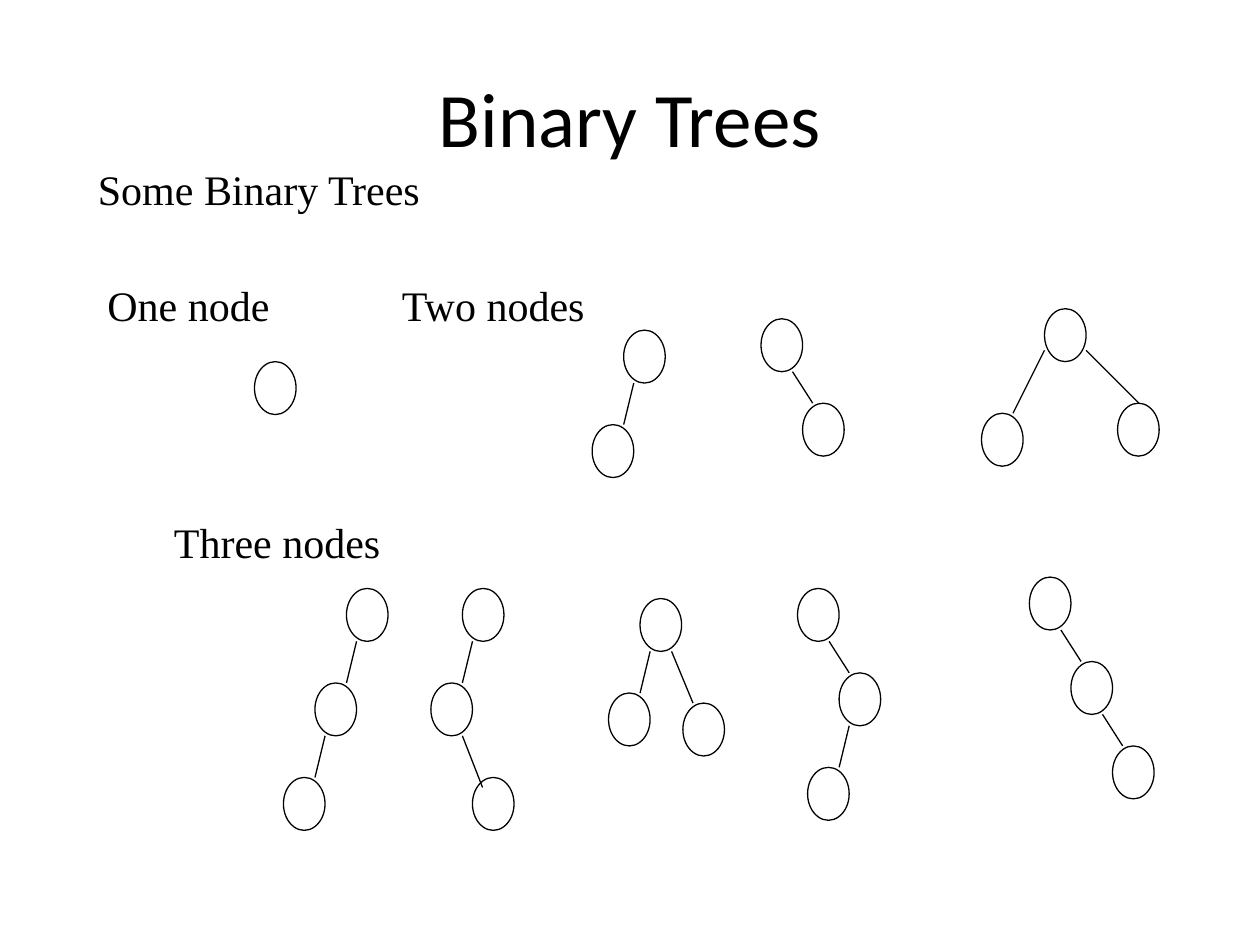
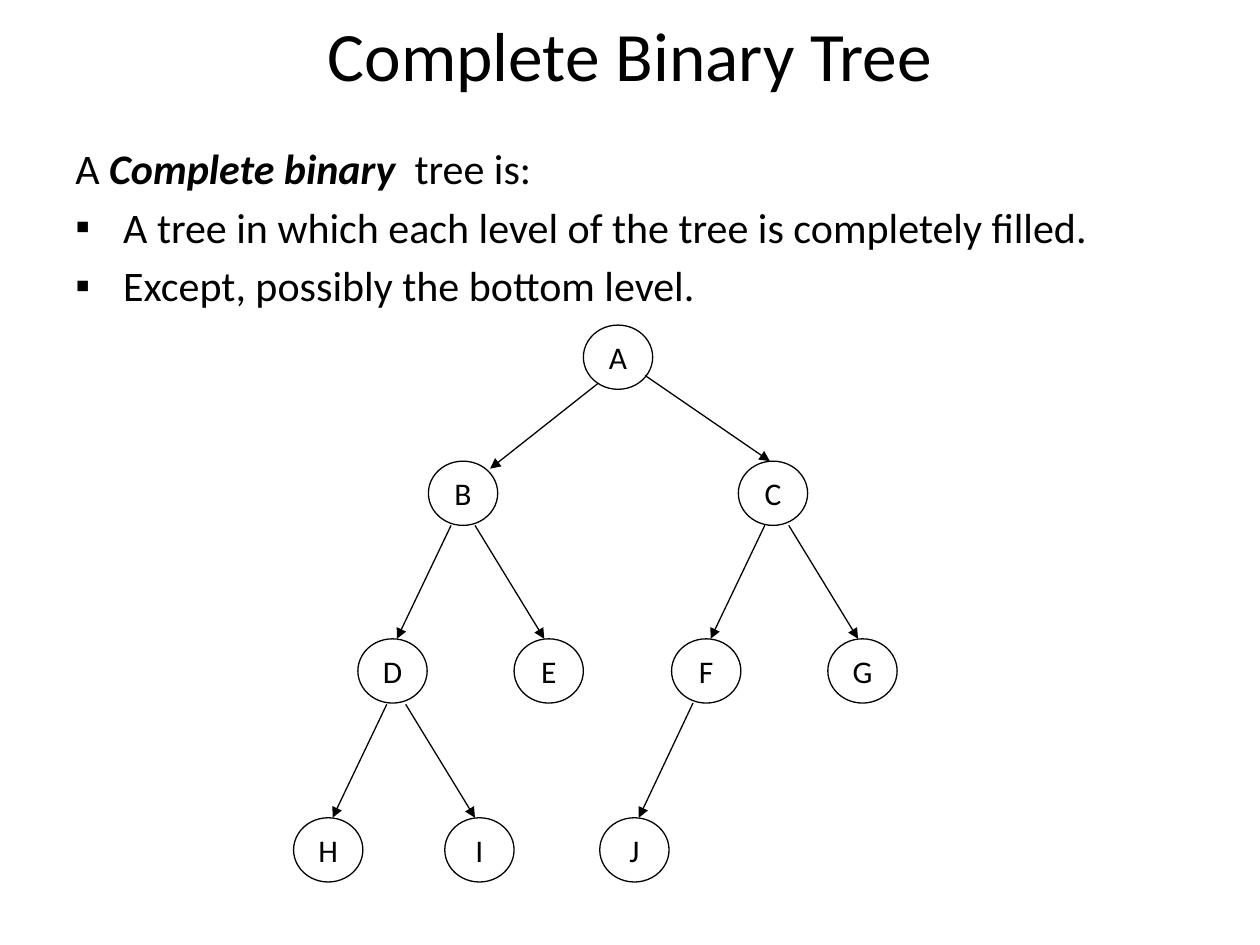
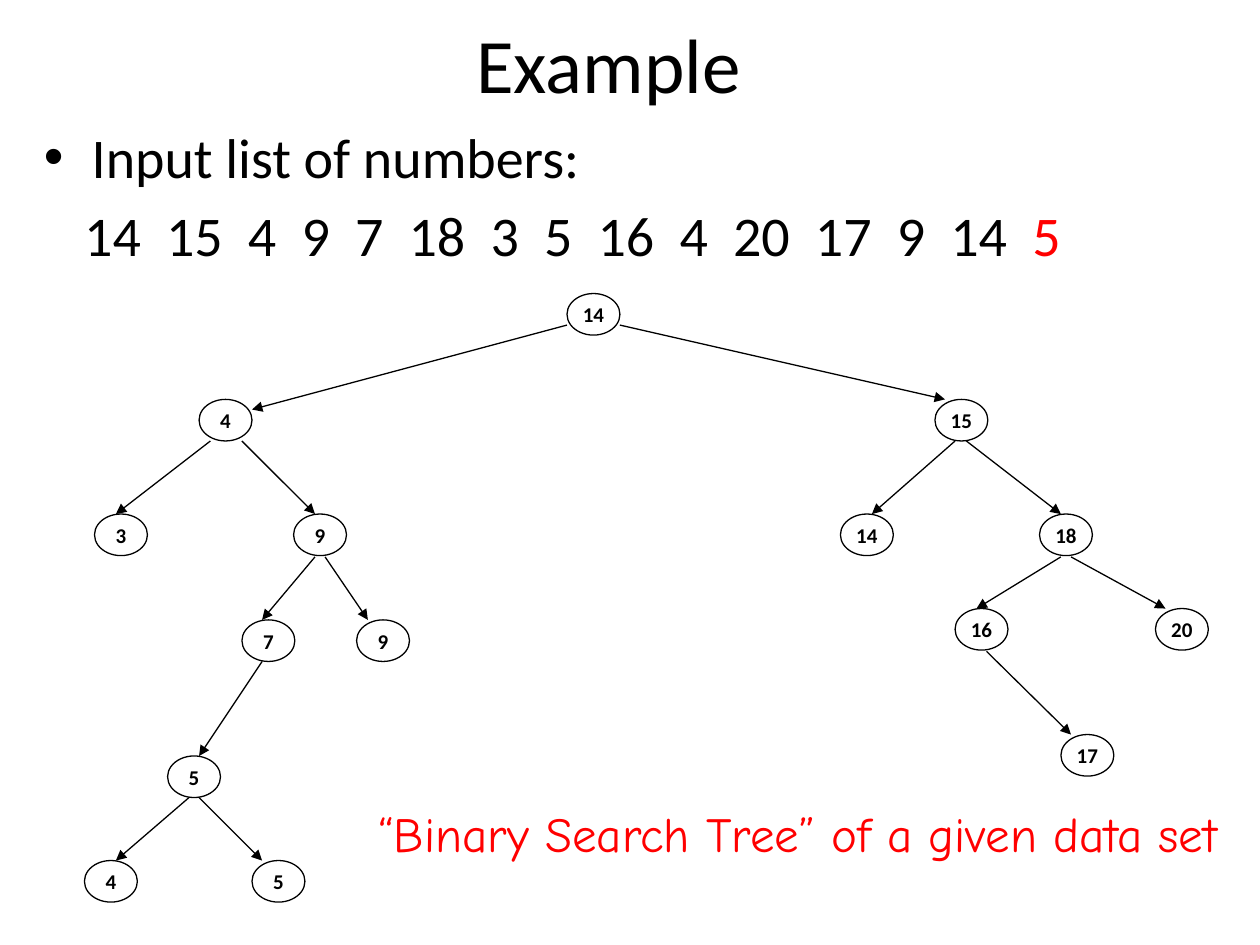
import pptx
import pptx.dml.color
import pptx.enum.shapes
import pptx.enum.text
import pptx.oxml.xmlchemy
import pptx.util
from pptx.util import Inches

# Shared style
BLACK, WHITE, RED = "000000", "FFFFFF", "FF0000"
FONT = "Calibri"
LINE_WIDTH = pptx.util.Pt(0.75)
HANGING = 0.38
CENTER = pptx.enum.text.PP_ALIGN.CENTER
MIDDLE = pptx.enum.text.MSO_ANCHOR.MIDDLE
color = pptx.dml.color.RGBColor.from_string
new_element = pptx.oxml.xmlchemy.OxmlElement


def format_runs(paragraph, size, name=FONT, ink=BLACK):
    for run in paragraph.runs:
        run.font.size = pptx.util.Pt(size)
        run.font.name = name
        run.font.color.rgb = color(ink)


def add_bullet(paragraph, mark):
    properties = paragraph._p.get_or_add_pPr()
    properties.set("marL", str(Inches(HANGING)))
    properties.set("indent", str(-Inches(HANGING)))
    for tag, attribute, value in (("buFont", "typeface", "Arial"), ("buChar", "char", mark)):
        element = new_element("a:" + tag)
        element.set(attribute, value)
        properties.append(element)


# Small trees: each step gives child offset, edge start and edge end from the parent
steps = {
    "left": ((-0.25, 0.75), (0.08, 0.42), (0, 0.75)),
    "right": ((0.33, 0.67), (0.25, 0.42), (0.41, 0.67)),
    "steep right": ((0.33, 0.75), (0.25, 0.42), (0.41, 0.83)),
    "fork right": ((0.34, 0.83), (0.25, 0.42), (0.42, 0.83)),
    "wide left": ((-0.5, 0.83), (0, 0.33), (-0.25, 0.83)),
    "wide right": ((0.58, 0.75), (0.33, 0.33), (0.75, 0.75)),
}
# Root position, then (parent index, step) for every further node
small_trees = [
    (2.02, 2.87, []),
    (4.95, 2.62, [(0, "left")]),
    (6.04, 2.53, [(0, "right")]),
    (8.29, 2.45, [(0, "wide left"), (0, "wide right")]),
    (2.75, 4.67, [(0, "left"), (1, "left")]),
    (3.67, 4.67, [(0, "left"), (1, "steep right")]),
    (5.08, 4.75, [(0, "left"), (0, "fork right")]),
    (6.33, 4.67, [(0, "right"), (1, "left")]),
    (8.17, 4.58, [(0, "right"), (1, "right")]),
]
small_nodes, small_edges = [], []
for root_x, root_y, branches in small_trees:
    places = [(root_x, root_y)]
    for parent, step in branches:
        x, y = places[parent]
        child, start, end = steps[step]
        places.append((x + child[0], y + child[1]))
        small_edges.append((x + start[0], y + start[1], x + end[0], y + end[1]))
    small_nodes += [("", x, y) for x, y in places]

# Complete tree
complete_nodes = [
    ("A", 4.63, 2.58),
    ("B", 3.4, 3.66), ("C", 5.86, 3.66),
    ("D", 2.84, 5.07), ("E", 4.08, 5.07), ("F", 5.33, 5.07), ("G", 6.57, 5.07),
    ("H", 2.33, 6.49), ("I", 3.53, 6.49), ("J", 4.76, 6.49),
]
complete_edges = [
    (4.75, 3.04, 3.89, 3.72), (5.12, 2.98, 6.11, 3.66),
    (3.58, 4.17, 3.15, 5.07), (3.77, 4.17, 4.32, 5.07),
    (6.07, 4.17, 5.64, 5.07), (6.26, 4.17, 6.81, 5.07),
    (3.07, 5.59, 2.64, 6.49), (3.22, 5.59, 3.77, 6.49),
    (5.5, 5.58, 5.07, 6.49),
]

# Search tree
search_nodes = [
    ("14", 4.5, 2.33),
    ("4", 1.58, 3.17), ("15", 7.42, 3.17),
    ("3", 0.75, 4.08), ("9", 2.33, 4.08), ("14", 6.67, 4.08), ("18", 8.25, 4.08),
    ("7", 1.92, 4.92), ("9", 2.83, 4.92), ("16", 7.58, 4.83), ("20", 9.17, 4.83),
    ("5", 1.33, 6), ("17", 8.42, 5.83),
    ("4", 0.67, 6.83), ("5", 2, 6.83),
]
search_edges = [
    (4.5, 2.58, 2, 3.25), (4.92, 2.58, 7.5, 3.17),
    (1.67, 3.5, 0.92, 4.08), (1.92, 3.5, 2.5, 4.08),
    (7.58, 3.5, 6.92, 4.08), (7.67, 3.5, 8.42, 4.08),
    (2.5, 4.42, 2.08, 4.92), (2.58, 4.42, 2.92, 4.92),
    (8.42, 4.42, 7.75, 4.83), (8.5, 4.42, 9.25, 4.83),
    (2.08, 5.25, 1.58, 6), (7.83, 5.17, 8.5, 5.83),
    (1.5, 6.33, 0.92, 6.83), (1.58, 6.33, 2.08, 6.83),
]

# Title, its box and size; node size, label size, bold labels, directed edges; nodes, edges
lessons = [
    ("Binary Trees", (0.5, 0.3, 9, 1.25), 44,
     (0.33, 0.42), 18, False, False, small_nodes, small_edges),
    ("Complete Binary Tree", (0.5, 0.08, 9, 0.7), 39.6,
     (0.55, 0.51), 18, False, True, complete_nodes, complete_edges),
    ("Example", (0.58, 0.08, 8.5, 0.83), 44,
     (0.42, 0.33), 12, True, True, search_nodes, search_edges),
]

deck = pptx.Presentation()
deck.slide_width, deck.slide_height = Inches(10), Inches(7.5)

# Titles and trees
for (heading, heading_box, heading_size, node_size, label_size, bold, directed,
     nodes, edges) in lessons:
    slide = deck.slides.add_slide(deck.slide_layouts[5])
    title = slide.shapes.title
    title.left, title.top, title.width, title.height = map(Inches, heading_box)
    title.text_frame.text = heading
    title.text_frame.auto_size = pptx.enum.text.MSO_AUTO_SIZE.NONE
    title.text_frame.vertical_anchor = MIDDLE
    title.text_frame.paragraphs[0].alignment = CENTER
    format_runs(title.text_frame.paragraphs[0], heading_size)

    for label, x, y in nodes:
        node = slide.shapes.add_shape(pptx.enum.shapes.MSO_SHAPE.OVAL,
                                      *map(Inches, (x, y, *node_size)))
        node.shadow.inherit = False
        node.line.color.rgb = color(BLACK)
        node.line.width = LINE_WIDTH
        if not label:
            node.fill.solid()
            node.fill.fore_color.rgb = color(WHITE)
            continue
        node.fill.background()
        node.text_frame.text = label
        node.text_frame.word_wrap = False
        node.text_frame.vertical_anchor = MIDDLE
        name = node.text_frame.paragraphs[0]
        name.alignment = CENTER
        format_runs(name, label_size)
        name.runs[0].font.bold = bold

    for ends in edges:
        edge = slide.shapes.add_connector(pptx.enum.shapes.MSO_CONNECTOR.STRAIGHT,
                                          *map(Inches, ends))
        edge.line.color.rgb = color(BLACK)
        edge.line.width = LINE_WIDTH
        if directed:
            arrowhead = new_element("a:tailEnd")
            arrowhead.set("type", "triangle")
            edge.line._get_or_add_ln().append(arrowhead)
        edge._element.spPr.append(new_element("a:effectLst"))

small_slide, complete_slide, search_slide = deck.slides

# Captions of the small trees
for words, x, y, width in (("Some Binary Trees", 0.67, 1.25, 2.77), ("One node", 0.75, 2.17, 1.49),
                           ("Two nodes", 3.08, 2.17, 1.67), ("Three nodes", 1.28, 4.05, 1.84)):
    caption = small_slide.shapes.add_textbox(*map(Inches, (x, y, width, 0.5))).text_frame
    caption.text = words
    caption.word_wrap = False
    caption.vertical_anchor = MIDDLE
    caption.paragraphs[0].alignment = CENTER
    format_runs(caption.paragraphs[0], 24, "Times New Roman")

# Definition of a complete tree
definition = complete_slide.shapes.add_textbox(*map(Inches, (0.5, 1.08, 9, 1.5))).text_frame
definition.word_wrap = True
opening = definition.paragraphs[0]
for words in ("A ", "Complete binary ", " tree is:"):
    opening.add_run().text = words
format_runs(opening, 24)
opening.runs[1].font.bold = opening.runs[1].font.italic = True
for words in ("A tree in which each level of the tree is completely filled.",
              "Except, possibly the bottom level."):
    condition = definition.add_paragraph()
    condition.text = words
    condition.space_before = pptx.util.Pt(4.8)
    add_bullet(condition, "▪")
    format_runs(condition, 24)

# Input list, with tab stops that leave equal gaps between the numbers
numbers = "14 15 4 9 7 18 3 5 16 4 20 17 9 14 5".split()
DIGIT_WIDTH, GAP = 0.225, 0.2
listing = search_slide.shapes.add_textbox(*map(Inches, (0.25, 0.92, 9.5, 1.5))).text_frame
listing.word_wrap = True
listing.text = "Input list of numbers:"
add_bullet(listing.paragraphs[0], "•")
format_runs(listing.paragraphs[0], 32)

values = listing.add_paragraph()
values.space_before = pptx.util.Pt(6.4)
tab_stops = new_element("a:tabLst")
position = 0.32
for number in numbers:
    stop = new_element("a:tab")
    stop.set("pos", str(Inches(position)))
    stop.set("algn", "l")
    tab_stops.append(stop)
    values.add_run().text = "\t" + number
    position += DIGIT_WIDTH * len(number) + GAP
values._p.get_or_add_pPr().append(tab_stops)
format_runs(values, 32)
values.runs[-1].font.color.rgb = color(RED)

# Closing remark
remark = search_slide.shapes.add_textbox(*map(Inches, (2.67, 6.33, 7.33, 1.17))).text_frame
remark.word_wrap = True
remark.text = "“Binary Search Tree” of a given data set"
remark.paragraphs[0].alignment = CENTER
format_runs(remark.paragraphs[0], 28, "Comic Neue", RED)

deck.save("out.pptx")
